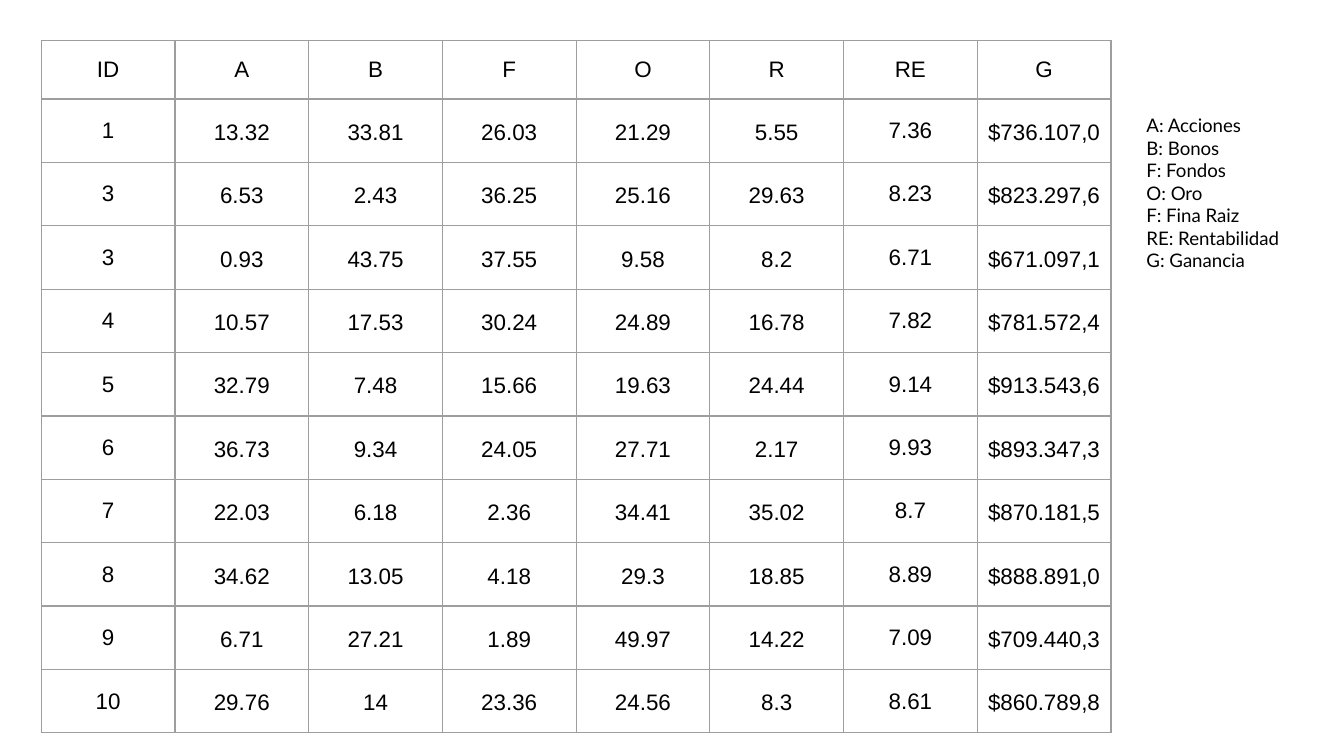
from collections import namedtuple
from copy import deepcopy
from dataclasses import dataclass

from lxml import etree
from pptx import Presentation
from pptx.dml.color import RGBColor
from pptx.enum.text import MSO_ANCHOR, PP_ALIGN
from pptx.oxml.ns import qn
from pptx.util import Inches, Pt

CENTER = PP_ALIGN.CENTER
MIDDLE = MSO_ANCHOR.MIDDLE
UNIT = Inches(0.1)
PAGE_COLUMNS, PAGE_ROWS = 100, 56.25

Box = namedtuple("Box", "left top width height")


@dataclass(frozen=True)
class Theme:
    """Colours, fonts and sizes of the deck."""
    ink: RGBColor = RGBColor(0, 0, 0)
    paper: RGBColor = RGBColor(255, 255, 255)
    rule: str = "9E9E9E"
    rule_width: int = Pt(0.75)
    table_font: str = "Arial"
    table_size: int = Pt(12)
    legend_font: str = "Lato"
    legend_size: int = Pt(10)


THEME = Theme()
TABLE_TEXT = {"name": THEME.table_font, "size": THEME.table_size, "bold": False}
LEGEND_TEXT = {"name": THEME.legend_font, "size": THEME.legend_size}
LABEL_CELL = dict.fromkeys(
    ("margin_left", "margin_top", "margin_right", "margin_bottom"), UNIT)
FIGURE_CELL = {"margin_left": Inches(0.03), "margin_top": Inches(0.02),
               "margin_right": Inches(0.03), "margin_bottom": Inches(0.02)}

HEADER = ("ID", "A", "B", "F", "O", "R", "RE", "G")
LABEL_COLUMNS = ("ID", "RE")
PORTFOLIOS = (
    ("1", "13.32", "33.81", "26.03", "21.29", "5.55", "7.36", "$736.107,0"),
    ("3", "6.53", "2.43", "36.25", "25.16", "29.63", "8.23", "$823.297,6"),
    ("3", "0.93", "43.75", "37.55", "9.58", "8.2", "6.71", "$671.097,1"),
    ("4", "10.57", "17.53", "30.24", "24.89", "16.78", "7.82", "$781.572,4"),
    ("5", "32.79", "7.48", "15.66", "19.63", "24.44", "9.14", "$913.543,6"),
    ("6", "36.73", "9.34", "24.05", "27.71", "2.17", "9.93", "$893.347,3"),
    ("7", "22.03", "6.18", "2.36", "34.41", "35.02", "8.7", "$870.181,5"),
    ("8", "34.62", "13.05", "4.18", "29.3", "18.85", "8.89", "$888.891,0"),
    ("9", "6.71", "27.21", "1.89", "49.97", "14.22", "7.09", "$709.440,3"),
    ("10", "29.76", "14", "23.36", "24.56", "8.3", "8.61", "$860.789,8"),
)
LEGEND = (
    ("A: Acciones", "B: Bonos", "F: Fondos"),
    ("O: Oro",),
    ("F: Fina Raiz", "RE: Rentabilidad"),
    ("G: Ganancia",),
)


def place(columns, rows, width, height):
    """Turn grid columns and rows into a box of lengths."""
    return Box(*(int(UNIT * count) for count in (columns, rows, width, height)))


def apply(target, values):
    """Set each format value on the target."""
    for name, value in values.items():
        setattr(target, name, value)


def write(para, lines, style):
    """Add formatted spans to a paragraph, parted by line breaks of the same size."""
    for index, text in enumerate(lines):
        if index:
            para.add_line_break()
            para._p[-1].append(deepcopy(span._r.rPr))
        span = para.add_run()
        span.text = text
        apply(span.font, style)
        span.font.color.rgb = THEME.ink


def outline(cell):
    """Draw the thin rule on all four sides of a cell."""
    properties = cell._tc.get_or_add_tcPr()
    for side in ("a:lnL", "a:lnR", "a:lnT", "a:lnB"):
        line = etree.SubElement(properties, qn(side), w=str(THEME.rule_width))
        fill = etree.SubElement(line, qn("a:solidFill"))
        etree.SubElement(fill, qn("a:srgbClr"), val=THEME.rule)


def fill_cell(cell, text, is_figure):
    """Write a centred value in an outlined cell."""
    outline(cell)
    apply(cell, FIGURE_CELL if is_figure else LABEL_CELL)
    cell.vertical_anchor = MIDDLE
    para = cell.text_frame.paragraphs[0]
    para.alignment = CENTER
    if is_figure:
        cell.fill.solid()
        cell.fill.fore_color.rgb = THEME.paper
        para.line_spacing = 1.15
    else:
        cell.fill.background()
    write(para, (text,), TABLE_TEXT)


def add_portfolio_table(page, box, header_height):
    """Place the portfolio table in its box."""
    records = (HEADER, *PORTFOLIOS)
    table = page.shapes.add_table(len(records), len(HEADER), *box).table
    apply(table, {"first_row": False, "horz_banding": False})
    for column in table.columns:
        column.width = box.width // len(HEADER)
    for row in table.rows:
        row.height = (box.height - header_height) // len(PORTFOLIOS)
    table.rows[0].height = header_height
    for row_index, record in enumerate(records):
        for column_index, text in enumerate(record):
            is_figure = row_index > 0 and HEADER[column_index] not in LABEL_COLUMNS
            fill_cell(table.cell(row_index, column_index), text, is_figure)


def add_legend(page, box):
    """Place the key to the column letters in its box."""
    frame = page.shapes.add_textbox(*box).text_frame
    apply(frame, {"word_wrap": True, **LABEL_CELL})
    for index, entries in enumerate(LEGEND):
        para = frame.add_paragraph() if index else frame.paragraphs[0]
        write(para, entries, LEGEND_TEXT)


def main():
    """Build and save the deck."""
    deck = Presentation()
    deck.slide_width = int(UNIT * PAGE_COLUMNS)
    deck.slide_height = int(UNIT * PAGE_ROWS)
    page = deck.slides.add_slide(deck.slide_layouts[6])
    add_portfolio_table(page, place(3.07, 3.04, 79.6, 51.5), int(UNIT * 4.33))
    add_legend(page, place(84.32, 7.5, 14.5, 15.5))
    deck.save("out.pptx")


if __name__ == "__main__":
    main()
